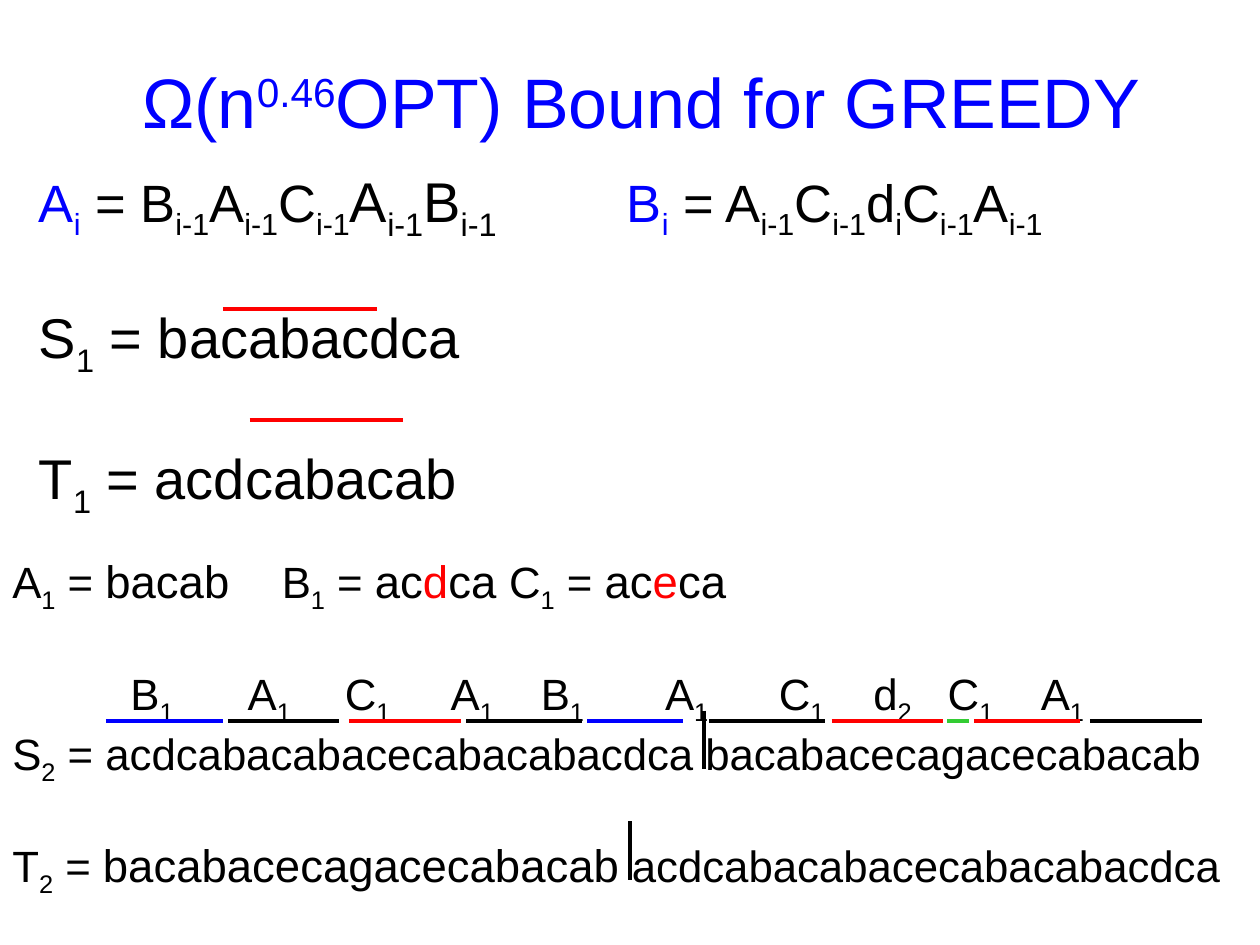
from dataclasses import dataclass

from lxml import etree
from pptx import Presentation
from pptx.dml.color import RGBColor
from pptx.enum.shapes import MSO_CONNECTOR
from pptx.enum.text import MSO_ANCHOR, PP_ALIGN
from pptx.oxml.ns import qn
from pptx.util import Pt

STRAIGHT = MSO_CONNECTOR.STRAIGHT
MIDDLE = MSO_ANCHOR.MIDDLE
CENTER = PP_ALIGN.CENTER
BLACK = RGBColor(0x00, 0x00, 0x00)
BLUE = RGBColor(0x00, 0x00, 0xFF)
RED = RGBColor(0xFF, 0x00, 0x00)
GREEN = RGBColor(0x33, 0xCC, 0x33)
SUB, SUP = -25, 30


@dataclass
class Run:
    text: str
    size: float = 25
    color: RGBColor = BLACK
    base: int = 0


@dataclass
class Para:
    runs: list[Run]
    before: float = 0
    tabs: tuple[float, ...] = ()


@dataclass
class Line:
    x1: float
    y1: float
    x2: float
    y2: float
    color: RGBColor = BLACK


def terms(text: str, size: float = 25, color: RGBColor = BLACK) -> list[Run]:
    """Turn words such as "A_i-1 B_1" into letters with subscripts."""
    runs = []
    for word in text.split(" "):
        letter, index = word.split("_")
        runs += [Run(letter, size, color), Run(index, size, color, SUB)]
    return runs


def add_runs(p, runs: list[Run]) -> None:
    for run in runs:
        r = p.add_run()
        r.text = run.text
        formats = {"name": "Arial", "size": Pt(run.size), "bold": False}
        for name, value in formats.items():
            setattr(r.font, name, value)
        r.font.color.rgb = run.color
        if run.base:
            r.font._element.set("baseline", str(run.base * 1000))


def add_tabs(p, stops: tuple[float, ...]) -> None:
    tab_list = etree.SubElement(p._p.get_or_add_pPr(), qn("a:tabLst"))
    for stop in stops:
        etree.SubElement(tab_list, qn("a:tab"), pos=str(Pt(stop)), algn="l")


def add_text(s, left: float, top: float, width: float, height: float,
             paras: list[Para]) -> None:
    tf = s.shapes.add_textbox(Pt(left), Pt(top), Pt(width), Pt(height)).text_frame
    tf.word_wrap = True
    for i, para in enumerate(paras):
        p = tf.add_paragraph() if i else tf.paragraphs[0]
        if para.tabs:
            add_tabs(p, para.tabs)
        if para.before:
            p.space_before = Pt(para.before)
        add_runs(p, para.runs)


def add_line(s, line: Line) -> None:
    sp = s.shapes.add_connector(STRAIGHT, Pt(line.x1), Pt(line.y1),
                                Pt(line.x2), Pt(line.y2))
    sp.line.color.rgb = line.color
    sp.line.width = Pt(2.25)
    etree.SubElement(sp._element.spPr, qn("a:effectLst"))


def add_title(s) -> None:
    sp = s.shapes.title
    place = {"left": 42.5, "top": 18.7, "width": 648, "height": 77.8}
    for name, value in place.items():
        setattr(sp, name, Pt(value))
    tf = sp.text_frame
    tf.vertical_anchor = MIDDLE
    p = tf.paragraphs[0]
    p.alignment = CENTER
    add_runs(p, [Run("Ω(n", 40, BLUE), Run("0.46", 40, BLUE, SUP),
                 Run("OPT) Bound for GREEDY", 40, BLUE)])


LABELS = "B_1 A_1 C_1 A_1 B_1 A_1 C_1 d_2 C_1 A_1"
LABEL_STOPS = (67.5, 134.5, 190, 250.5, 302, 373, 438, 492, 534.5, 587.7)
EQUALS = Run(" = ")

EXPANSIONS = [
    Para([*terms("A_1"), EQUALS, Run("bacab", 26), Run("\t"),
          *terms("B_1"), EQUALS, Run("ac", 26), Run("d", 26, RED), Run("ca ", 26),
          *terms("C_1"), EQUALS, Run("ac", 26), Run("e", 26, RED), Run("ca", 26)],
         tabs=(154,)),
    Para([run for label in LABELS.split(" ")
          for run in (Run("\t"), *terms(label))], before=30, tabs=LABEL_STOPS),
    Para([*terms("S_2"),
          Run(" = acdcabacabacecabacabacdca bacabacecagacecabacab")]),
    Para([*terms("T_2"), EQUALS, Run("bacabacecagacecabacab", 26),
          Run(" acdcabacabacecabacabacdca")], before=28.7),
]

DEFINITIONS = [
    Para([*terms("A_i", 30, BLUE), Run(" = ", 30),
          *terms("B_i-1 A_i-1 C_i-1", 30), *terms("A_i-1 B_i-1", 32), Run("\t", 30),
          *terms("B_i", 30, BLUE), Run(" = ", 30),
          *terms("A_i-1 C_i-1 d_i C_i-1 A_i-1", 30)], tabs=(336,)),
    Para([*terms("S_1", 32), Run(" = bacabacdca", 32)], before=34.5),
    Para([*terms("T_1", 32), Run(" = acdcabacab", 32)], before=36.8),
]

BAR_Y = 411.8
BARS = [
    (60.5, 127.4, BLUE), (130.3, 193.7, BLACK), (199.4, 263.5, RED),
    (266.4, 332.6, BLACK), (335.5, 390.2, BLUE), (405.4, 471.6, BLACK),
    (475.2, 538.6, RED), (541.4, 553.7, GREEN), (556.6, 617, RED),
    (622.8, 686.9, BLACK),
]
DIVIDERS = [Line(360, 469.4, 360, 502.6), Line(402.5, 406.1, 402.5, 439.2)]
MATCHES = [Line(142.6, 239.8, 230.4, 239.8, RED),
           Line(127.4, 176.4, 215.3, 176.4, RED)]


def main() -> None:
    prs = Presentation()
    prs.slide_width, prs.slide_height = Pt(720), Pt(540)
    s = prs.slides.add_slide(prs.slide_layouts[5])
    add_title(s)
    add_text(s, 0, 312.5, 720, 236.9, EXPANSIONS)
    add_text(s, 15.1, 91.4, 683.3, 218.2, DEFINITIONS)
    bars = [Line(x1, BAR_Y, x2, BAR_Y, color) for x1, x2, color in BARS]
    for line in DIVIDERS + bars + MATCHES:
        add_line(s, line)
    prs.save("out.pptx")


if __name__ == "__main__":
    main()
